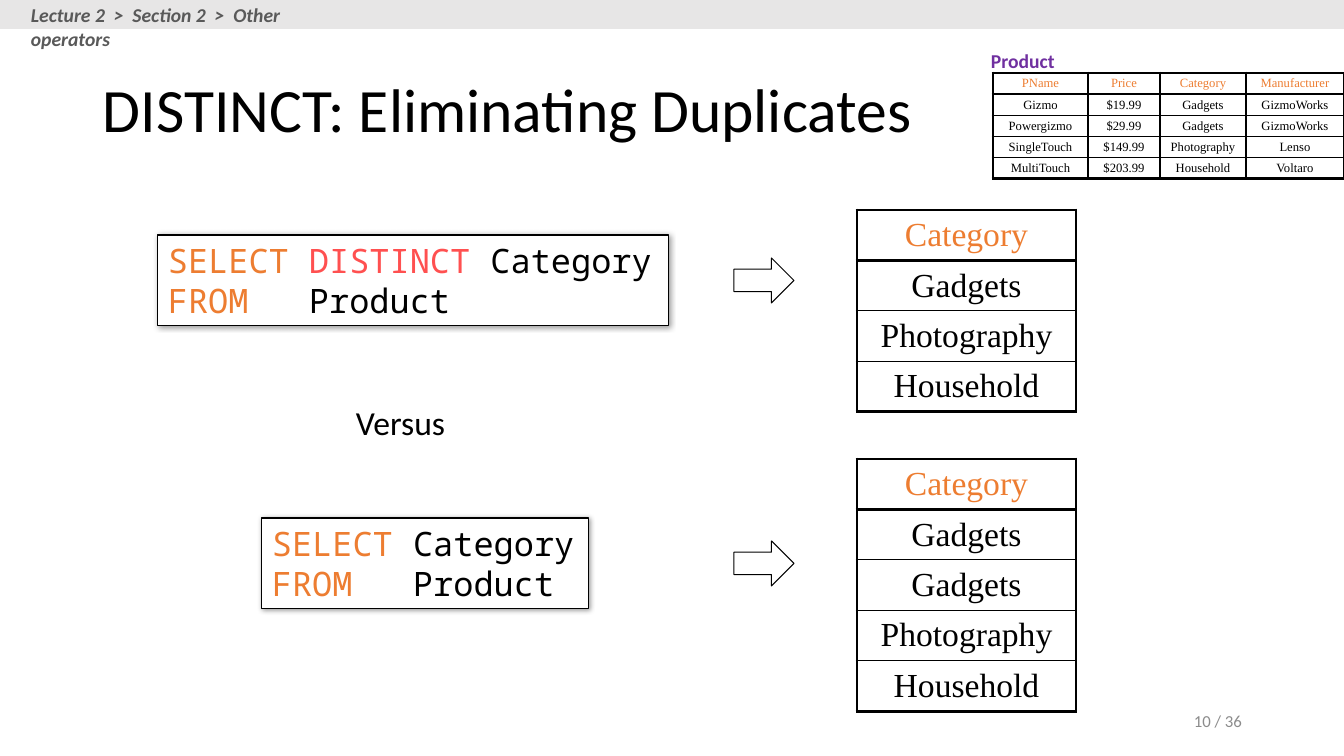
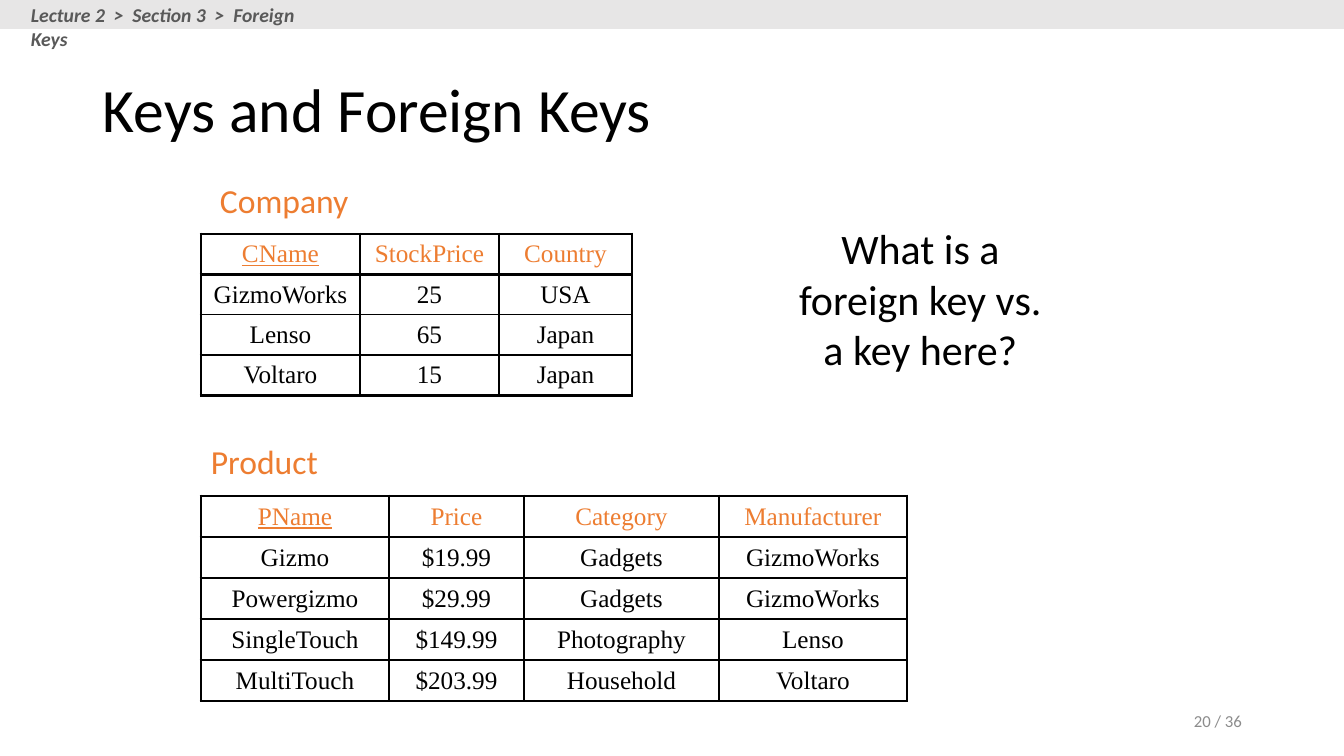
import pptx
import pptx.util
import pptx.dml.color
import pptx.enum.text
import pptx.enum.shapes
import pptx.oxml
import pptx.oxml.ns
from lxml import etree

UNIT = 914400 / 100.8
WIDE, HIGH = 1344, 756
BLACK, WHITE, ORANGE, RED = "000000", "FFFFFF", "ED7D31", "FF5050"
PURPLE, BAND, CRUMB, GREY = "7030A0", "E7E6E6", "595959", "8C8C8C"
SANS, MONO, SERIF = "Calibri", "Noto Sans Mono", "Times New Roman"
THICK, THIN = 2.25, 1
ALIGN = pptx.enum.text.PP_ALIGN
ANCHOR = pptx.enum.text.MSO_ANCHOR
SHAPE = pptx.enum.shapes.MSO_SHAPE
GOODS = [
    ["PName", "Price", "Category", "Manufacturer"],
    ["Gizmo", "$19.99", "Gadgets", "GizmoWorks"],
    ["Powergizmo", "$29.99", "Gadgets", "GizmoWorks"],
    ["SingleTouch", "$149.99", "Photography", "Lenso"],
    ["MultiTouch", "$203.99", "Household", "Voltaro"],
]
FIRMS = [
    ["CName", "StockPrice", "Country"],
    ["GizmoWorks", "25", "USA"],
    ["Lenso", "65", "Japan"],
    ["Voltaro", "15", "Japan"],
]


def px(*nums):
    return [pptx.util.Emu(round(num * UNIT)) for num in nums]


def tint(code):
    return pptx.dml.color.RGBColor.from_string(code)


def style(para, size, face=SANS, hue=BLACK, align=ALIGN.LEFT, bold=False, slant=False):
    para.alignment = align
    font = para.font
    font.size, font.name = pptx.util.Pt(size), face
    font.bold, font.italic = bold, slant
    font.color.rgb = tint(hue)


def label(slide, box, text, size, anchor=ANCHOR.TOP, **look):
    frame = slide.shapes.add_textbox(*px(*box)).text_frame
    frame.word_wrap = True
    frame.vertical_anchor = anchor
    para = frame.paragraphs[0]
    para.text = text
    style(para, size, **look)
    return para


def shape(slide, kind, box, fill=None, line=None):
    item = slide.shapes.add_shape(kind, *px(*box))
    item.shadow.inherit = False
    if fill:
        item.fill.solid()
        item.fill.fore_color.rgb = tint(fill)
    else:
        item.fill.background()
    if line:
        item.line.color.rgb = tint(line)
        item.line.width = pptx.util.Pt(0.75)
    else:
        item.line.fill.background()
    return item


def shade(item):
    qn = pptx.oxml.ns.qn
    glow = item.element.spPr.find(qn("a:effectLst"))
    cast = etree.SubElement(glow, qn("a:outerShdw"), blurRad="50800", dist="12700",
                            dir="2700000", algn="tl", rotWithShape="0")
    hue = etree.SubElement(cast, qn("a:srgbClr"), val=BLACK)
    etree.SubElement(hue, qn("a:alpha"), val="40000")


def code(slide, box, lines):
    item = shape(slide, SHAPE.RECTANGLE, box, WHITE, BLACK)
    shade(item)
    frame = item.text_frame
    frame.word_wrap = True
    frame.vertical_anchor = ANCHOR.TOP
    for num, line in enumerate(lines):
        para = frame.add_paragraph() if num else frame.paragraphs[0]
        style(para, 24, MONO)
        for text, hue in line:
            run = para.add_run()
            run.text = text
            run.font.color.rgb = tint(hue)


def edge(cell, side, width):
    qn = pptx.oxml.ns.qn
    line = etree.SubElement(cell._tc.get_or_add_tcPr(), qn("a:ln" + side),
                            w=str(pptx.util.Pt(width)))
    fill = etree.SubElement(line, qn("a:solidFill"))
    etree.SubElement(fill, qn("a:srgbClr"), val=BLACK)


def grid(slide, left, top, cols, tall, rows, size, key=False, tight=False):
    box = px(left, top, sum(cols), tall * len(rows))
    table = slide.shapes.add_table(len(rows), len(cols), *box).table
    table.first_row = table.horz_banding = False
    for col, wide in zip(table.columns, cols):
        col.width = px(wide)[0]
    for r, row in enumerate(rows):
        table.rows[r].height = px(tall)[0]
        for c, text in enumerate(row):
            cell = table.cell(r, c)
            heavy = {"L": c == 0, "R": c == len(cols) - 1,
                     "T": r < 2, "B": r in (0, len(rows) - 1)}
            for side, bold in heavy.items():
                edge(cell, side, THICK if bold else THIN)
            cell.fill.background()
            cell.vertical_anchor = ANCHOR.MIDDLE
            if tight:
                cell.margin_left, cell.margin_right = px(5, 5)
                cell.margin_top, cell.margin_bottom = px(3, 3)
            para = cell.text_frame.paragraphs[0]
            para.text = text
            style(para, size, SERIF, BLACK if r else ORANGE, ALIGN.CENTER)
            if key and r == c == 0:
                para.font.underline = True


def base(deck, title, crumb, page):
    slide = deck.slides.add_slide(deck.slide_layouts[6])
    shape(slide, SHAPE.RECTANGLE, (0, 0, WIDE, 29), BAND)
    label(slide, (21, -2, 316, 34), "Lecture 2  >  " + crumb, 14,
          hue=CRUMB, bold=True, slant=True)
    head = label(slide, (93, 40, 1159, 146), title, 44, ANCHOR.MIDDLE)
    head.line_spacing = 0.9
    label(slide, (950, 701, 302, 40), f"{page} / 36", 12, ANCHOR.MIDDLE,
          hue=GREY, align=ALIGN.RIGHT)
    return slide


def query(slide, box, lines, top, names):
    code(slide, box, lines)
    shape(slide, SHAPE.RIGHT_ARROW, (734, box[1] + 23, 60, 45), line=BLACK)
    grid(slide, 857, top, [219], 50.4, [[name] for name in names], 24)


def unique(deck):
    slide = base(deck, "DISTINCT: Eliminating Duplicates",
                 "Section 2  >  Other operators", 10)
    label(slide, (981, 44, 105, 34), "Product", 14, hue=PURPLE, bold=True)
    grid(slide, 993, 73, [95, 72, 86, 98], 21, GOODS, 9, tight=True)
    source = [("FROM   ", ORANGE), ("Product", BLACK)]
    query(slide, (158, 235, 511, 91),
          [[("SELECT ", ORANGE), ("DISTINCT ", RED), ("Category", BLACK)], source],
          210, ["Category", "Gadgets", "Photography", "Household"])
    label(slide, (346, 397, 113, 50), "Versus", 24)
    query(slide, (262, 518, 327, 91),
          [[("SELECT", ORANGE), (" Category", BLACK)], source],
          459, ["Category", "Gadgets", "Gadgets", "Photography", "Household"])


def keys(deck):
    slide = base(deck, "Keys and Foreign Keys", "Section 3  >  Foreign Keys", 20)
    label(slide, (210, 175, 155, 50), "Company", 24, hue=ORANGE)
    grid(slide, 201, 234, [159, 139, 133], 40.3, FIRMS, 18, key=True)
    label(slide, (201, 436, 132, 50), "Product", 24, hue=ORANGE)
    grid(slide, 201, 496, [188, 135, 195, 188], 41, GOODS, 18, key=True)
    label(slide, (786, 218, 269, 163), "What is a foreign key vs. a key here?", 30,
          align=ALIGN.CENTER)


deck = pptx.Presentation()
deck.slide_width, deck.slide_height = px(WIDE, HIGH)
unique(deck)
keys(deck)
deck.save("out.pptx")
